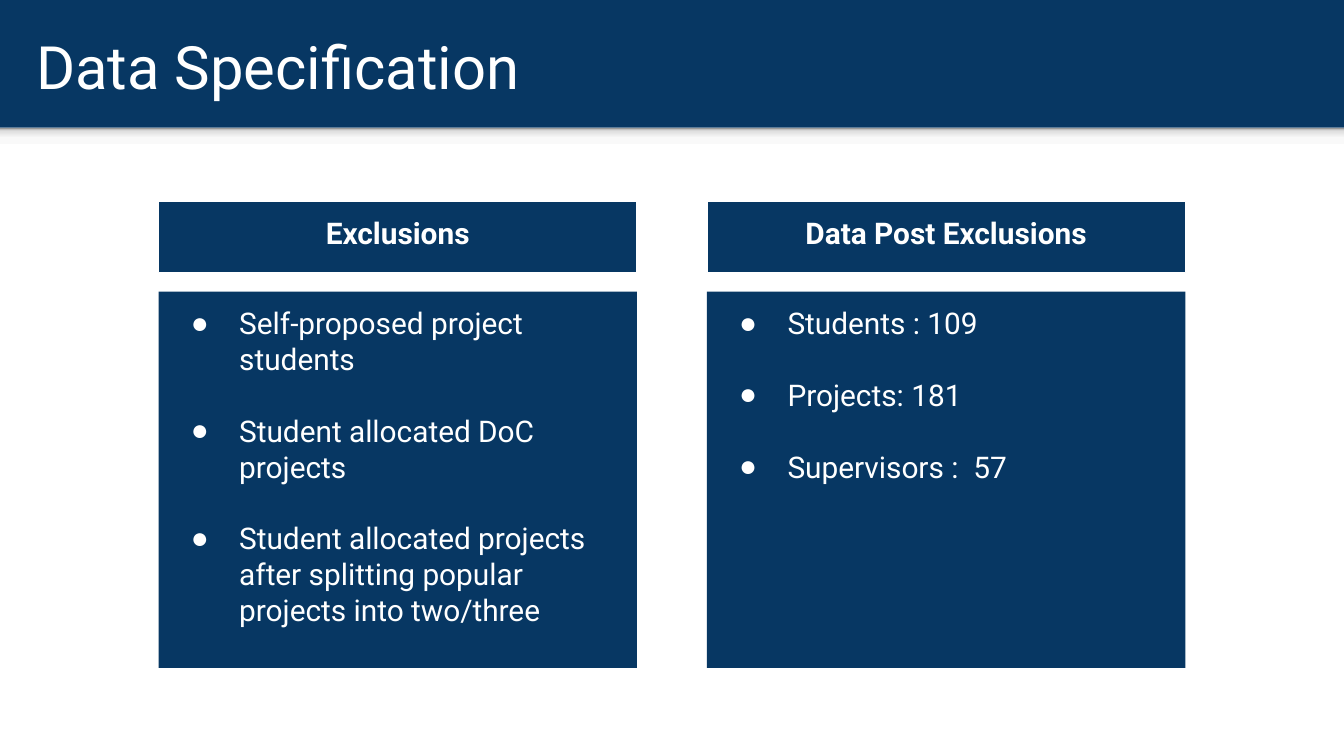
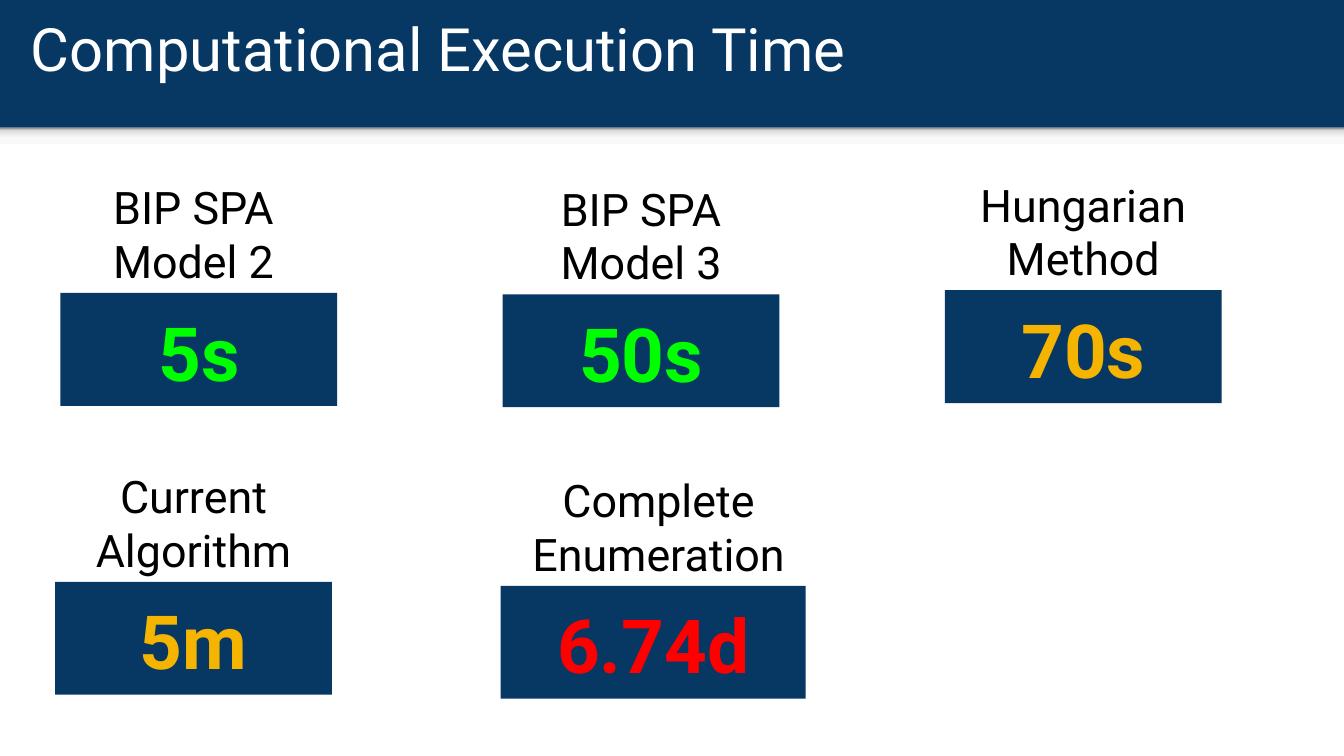
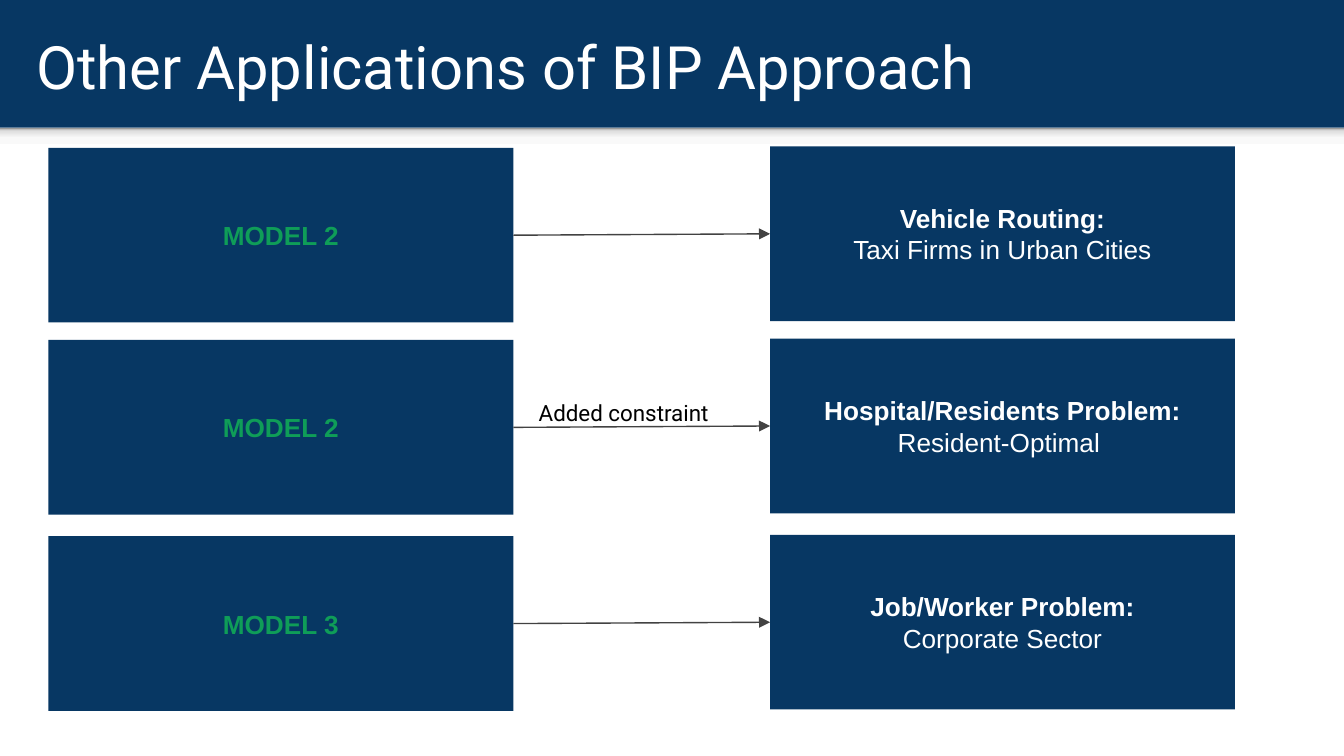
from lxml import etree
from pptx import Presentation
from pptx.dml.color import RGBColor
from pptx.enum.shapes import MSO_CONNECTOR, MSO_SHAPE
from pptx.enum.text import MSO_ANCHOR, MSO_AUTO_SIZE, PP_ALIGN
from pptx.oxml.ns import qn
from pptx.util import Inches, Pt

RECT = MSO_SHAPE.RECTANGLE
LINE = MSO_CONNECTOR.STRAIGHT
TOP, MID = MSO_ANCHOR.TOP, MSO_ANCHOR.MIDDLE
LEFT, MIDST = PP_ALIGN.LEFT, PP_ALIGN.CENTER

WIDE = 10
HIGH = WIDE * 9 / 16
BAND = 0.95
COLORS = {
    "navy": "073763", "white": "FFFFFF", "black": "000000",
    "lime": "00FF00", "amber": "F4B400", "red": "FF0000",
    "green": "0F9D58", "gray": "424242",
}
SHADE = [(0, "F9F9F9"), (36, "F9F9F9"), (80, "DEDEDE"), (100, "999999")]


def rgb(name):
    return RGBColor.from_string(COLORS[name])


def place(shape, x, y, w, h):
    shape.left, shape.top = Inches(x), Inches(y)
    shape.width, shape.height = Inches(w), Inches(h)


def bullet(para):
    props = para._p.get_or_add_pPr()
    props.set("marL", str(Inches(0.5)))
    props.set("indent", str(-Inches(0.36)))
    color = etree.SubElement(props, qn("a:buClr"))
    etree.SubElement(color, qn("a:srgbClr"), val=COLORS["white"])
    etree.SubElement(props, qn("a:buChar"), char="●")


def write(shape, *lines, size=16, font="Roboto", color="white", heads=0,
          align=LEFT, anchor=TOP, dots=False, gap=0):
    """Fill a shape with paragraphs; the first `heads` of them are bold."""
    frame = shape.text_frame
    frame.word_wrap = True
    frame.auto_size = MSO_AUTO_SIZE.NONE
    frame.vertical_anchor = anchor
    frame.margin_left = frame.margin_right = Inches(0.1)
    frame.margin_top = frame.margin_bottom = Inches(0.1)
    for i, line in enumerate(lines):
        para = frame.add_paragraph() if i else frame.paragraphs[0]
        para.alignment = align
        para.space_before = Pt(gap if i else 0)
        if dots:
            bullet(para)
        run = para.add_run()
        run.text = line
        run.font.name, run.font.size = font, Pt(size)
        run.font.bold = i < heads
        run.font.color.rgb = rgb(color)


def paint(shape, fill="navy", line=None):
    shape.fill.solid()
    shape.fill.fore_color.rgb = rgb(fill)
    if line:
        shape.line.color.rgb = rgb(line)
        shape.line.width = Pt(0.75)
    else:
        shape.line.fill.background()


def box(shapes, x, y, w, h, fill="navy"):
    shape = shapes.add_shape(RECT, *map(Inches, (x, y, w, h)))
    shape.shadow.inherit = False
    paint(shape, fill)
    return shape


def label(shapes, text, x, y, w, h, **style):
    shape = shapes.add_textbox(*map(Inches, (x, y, w, h)))
    write(shape, text, color="black", **style)


def arrow(shapes, start, end):
    """Join the right side of one box to the left side of another."""
    link = shapes.add_connector(LINE, 0, 0, 0, 0)
    link.begin_connect(start, 3)
    link.end_connect(end, 1)
    link.line.color.rgb = rgb("gray")
    link.line.width = Pt(0.75)
    etree.SubElement(link.line._get_or_add_ln(), qn("a:tailEnd"), type="triangle")
    etree.SubElement(link.element.spPr, qn("a:effectLst"))


def dress(master, slide):
    """Give the master its navy ground, white panel and band shade."""
    ground = master.background.fill
    ground.solid()
    ground.fore_color.rgb = rgb("navy")
    panel = box(slide.shapes, 0, BAND, WIDE, HIGH - BAND, "white")
    shade = box(slide.shapes, 0, BAND, WIDE, 0.12)
    shade.fill.gradient()
    shade.fill.gradient_angle = 90
    stops = shade.element.spPr.find(".//" + qn("a:gsLst"))
    for stop in list(stops):
        stops.remove(stop)
    for pos, tone in SHADE:
        stop = etree.SubElement(stops, qn("a:gs"), pos=str(pos * 1000))
        etree.SubElement(stop, qn("a:srgbClr"), val=tone)
    tree = master.shapes.element
    tree.insert(2, panel.element)
    tree.insert(3, shade.element)


def head(slide, text, x=0.17, y=0.16, w=9.65, h=0.66):
    title = slide.shapes.title
    place(title, x, y, w, h)
    write(title, text, size=32, anchor=MID)


def data(slide):
    head(slide, "Data Specification")
    lists = [
        ("Exclusions", [
            "Self-proposed project students",
            "Student allocated DoC projects",
            "Student allocated projects after splitting popular "
            "projects into two/three"]),
        ("Data Post Exclusions", [
            "Students : 109", "Projects: 181", "Supervisors :  57"]),
    ]
    holders = slide.placeholders
    for col, (name, items) in enumerate(lists):
        x = 1.18 + 4.08 * col
        top, body = holders[1 + 2 * col], holders[2 + 2 * col]
        place(top, x, 1.5, 3.56, 0.53)
        paint(top, line="white")
        write(top, name, heads=1, align=MIDST)
        place(body, x, 2.17, 3.56, 2.8)
        paint(body)
        write(body, *items, dots=True, gap=19.2)


def times(slide):
    head(slide, "Computational Execution Time", 0.13, 0.09, 7.69, 0.53)
    # column, row, name, time, colour, widths of name and box, nudges of each
    cards = [
        (0, 0, "BIP SPA Model 2", "5s", "lime", 2.06, 2.06, -0.04, 0, 0),
        (1, 0, "BIP SPA Model 3", "50s", "lime", 1.83, 2.06, 0, 0, 0.01),
        (2, 0, "Hungarian Method", "70s", "amber", 2.27, 2.06, 0, 0, -0.02),
        (0, 1, "Current Algorithm", "5m", "amber", 1.75, 2.06, -0.04, -0.04, -0.01),
        (1, 1, "Complete Enumeration", "6.74d", "red", 2.44, 2.27, 0.13, 0.09, 0.02),
    ]
    for col, row, name, time, color, wide, span, shift, slip, drop in cards:
        mid, y = 1.48 + 3.29 * col, 2.18 + 2.16 * row + drop
        group = slide.shapes.add_group_shape().shapes
        label(group, name, mid + shift - wide / 2, y - 0.94, wide, 0.53,
              size=24, align=MIDST)
        tile = box(group, mid + slip - span / 2, y, span, 0.84)
        write(tile, time, size=40, color=color, heads=1, align=MIDST)


def uses(slide):
    head(slide, "Other Applications of BIP Approach")
    rows = [
        (1.1, "MODEL 2", "Vehicle Routing:", "Taxi Firms in Urban Cities"),
        (2.53, "MODEL 2", "Hospital/Residents Problem:", "Resident-Optimal "),
        (3.99, "MODEL 3", "Job/Worker Problem:", "Corporate Sector"),
    ]
    style = dict(size=14, font="Arial", heads=1, align=MIDST, anchor=MID)
    for y, model, field, case in rows:
        start = box(slide.shapes, 0.36, y, 3.46, 1.3)
        write(start, model, color="green", **style)
        end = box(slide.shapes, 5.73, y - 0.01, 3.46, 1.3)
        write(end, field, case, **style)
        arrow(slide.shapes, start, end)
    label(slide.shapes, "Added constraint", 3.91, 2.87, 1.54, 0.22, size=12)


def main():
    deck = Presentation()
    deck.slide_width, deck.slide_height = Inches(WIDE), Inches(HIGH)
    pair, plain = deck.slide_layouts[4], deck.slide_layouts[5]
    pages = [(data, pair), (times, plain), (uses, plain)]
    for i, (build, layout) in enumerate(pages):
        slide = deck.slides.add_slide(layout)
        if i == 0:
            dress(deck.slide_master, slide)
        build(slide)
    deck.save("out.pptx")


if __name__ == "__main__":
    main()
